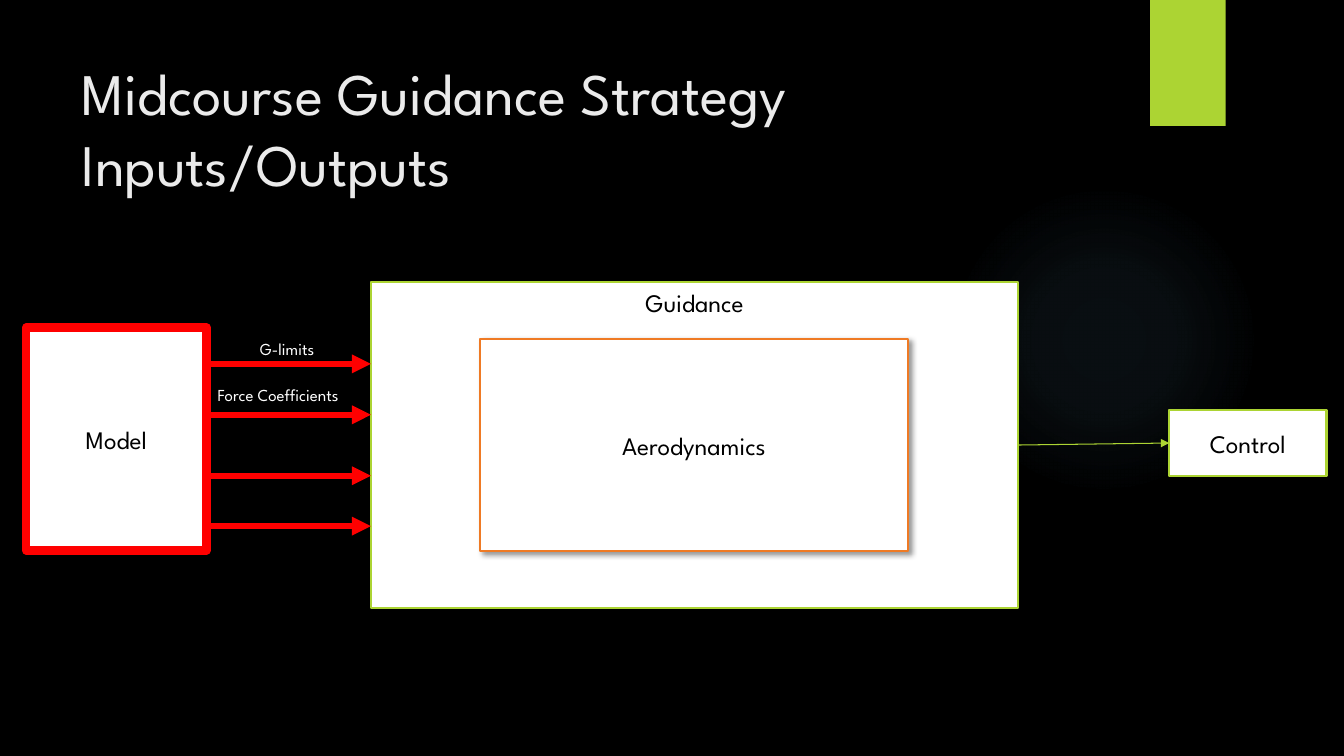
from collections import namedtuple

from lxml.etree import SubElement
from pptx import Presentation
from pptx.dml.color import RGBColor
from pptx.enum.shapes import MSO_CONNECTOR, MSO_SHAPE
from pptx.enum.text import MSO_ANCHOR, PP_ALIGN
from pptx.oxml import parse_xml
from pptx.oxml.ns import nsdecls, qn
from pptx.util import Inches, Pt

SLIDE_W, SLIDE_H = Inches(13.33), Inches(7.5)
COLUMN, ROW = SLIDE_W / 160, SLIDE_H / 90
FONT = "League Spartan"
BLACK = RGBColor(0x00, 0x00, 0x00)
WHITE = RGBColor(0xFF, 0xFF, 0xFF)
TITLE_GREY = RGBColor(0xEB, 0xEB, 0xEB)
LIME = RGBColor(0xAC, 0xD4, 0x33)
ORANGE = RGBColor(0xEF, 0x7A, 0x24)
RED = RGBColor(0xFF, 0x00, 0x00)
GLOW_BLUE = RGBColor(0x7A, 0xC4, 0xF0)

Box = namedtuple("Box", "left top width height")


def emu(box):
    return (round(box.left * COLUMN), round(box.top * ROW),
            round(box.width * COLUMN), round(box.height * ROW))


def write(frame, text, size=18, color=BLACK, align=PP_ALIGN.CENTER,
          anchor=MSO_ANCHOR.MIDDLE):
    frame.word_wrap = True
    frame.vertical_anchor = anchor
    paragraph = frame.paragraphs[0]
    paragraph.alignment = align
    run = paragraph.add_run()
    run.text = text
    run.font.size = Pt(size)
    run.font.name = FONT
    run.font.color.rgb = color


def cast_shadow(shape, alpha, blur, distance, angle):
    effects = shape._element.spPr.find(qn("a:effectLst"))
    shadow = SubElement(effects, qn("a:outerShdw"), blurRad=str(Pt(blur)),
                        dist=str(Pt(distance)), dir=str(angle * 60000),
                        algn="tl", rotWithShape="0")
    tint = SubElement(shadow, qn("a:srgbClr"), val=str(BLACK))
    SubElement(tint, qn("a:alpha"), val=str(alpha * 1000))


def add_block(slide, box, fill=WHITE, line=None, weight=1.5,
              kind=MSO_SHAPE.RECTANGLE):
    block = slide.shapes.add_shape(kind, *emu(box))
    block.shadow.inherit = False
    block.fill.solid()
    block.fill.fore_color.rgb = fill
    if line is None:
        block.line.fill.background()
    else:
        block.line.color.rgb = line
        block.line.width = Pt(weight)
    return block


def add_arrow(slide, left, right, row, color, weight):
    arrow = slide.shapes.add_connector(
        MSO_CONNECTOR.STRAIGHT, round(left * COLUMN), round(row * ROW),
        round(right * COLUMN), round(row * ROW))
    arrow.line.color.rgb = color
    arrow.line.width = Pt(weight)
    SubElement(arrow.line._get_or_add_ln(), qn("a:tailEnd"), type="triangle")
    SubElement(arrow._element.spPr, qn("a:effectLst"))
    return arrow


def draw_backdrop(slide, glow_box, tab_box):
    slide.background.fill.solid()
    slide.background.fill.fore_color.rgb = BLACK
    glow = add_block(slide, glow_box, kind=MSO_SHAPE.OVAL)
    stops = "".join(
        f'<a:gs pos="{position * 1000}"><a:srgbClr val="{GLOW_BLUE}">'
        f'<a:alpha val="{alpha * 1000}"/></a:srgbClr></a:gs>'
        for position, alpha in ((0, 7), (36, 6), (69, 0), (100, 0)))
    gradient = parse_xml(
        f'<a:gradFill {nsdecls("a")}><a:gsLst>{stops}</a:gsLst>'
        '<a:path path="circle"><a:fillToRect l="50000" t="50000" '
        'r="50000" b="50000"/></a:path></a:gradFill>')
    properties = glow._element.spPr
    properties.replace(properties.find(qn("a:solidFill")), gradient)
    tab = add_block(slide, tab_box, LIME)
    cast_shadow(tab, 45, 3, 2, 90)


def draw_title(slide, box, text):
    title = slide.shapes.title
    title.left, title.top, title.width, title.height = emu(box)
    write(title.text_frame, text, size=42, color=TITLE_GREY,
          align=PP_ALIGN.LEFT)


def draw_guidance(slide, box):
    guidance = add_block(slide, box, line=LIME)
    write(guidance.text_frame, "Guidance", anchor=MSO_ANCHOR.TOP)
    aerodynamics = add_block(
        slide, Box(box.left + 12.96, box.top + 6.72, 51, 25.32), line=ORANGE)
    cast_shadow(aerodynamics, 40, 4, 3, 45)
    write(aerodynamics.text_frame, "Aerodynamics")
    return guidance


def draw_control(slide, box, guidance, guidance_right):
    control = add_block(slide, box, line=LIME)
    write(control.text_frame, "Control")
    command = add_arrow(slide, guidance_right, box.left,
                        box.top + box.height / 2, LIME, 0.75)
    command.begin_connect(guidance, 3)
    command.end_connect(control, 1)


def draw_model(slide, box, guidance_left):
    model = add_block(slide, box, line=RED, weight=6)
    write(model.text_frame, "Model")
    right = box.left + box.width
    for drop in (4.32, 10.38, 17.64, 23.64):
        add_arrow(slide, right + 0.12, guidance_left, box.top + drop, RED, 4.5)
    for text, shift, drop, width in (("G-limits", 5.16, 0.72, 10.56),
                                     ("Force Coefficients", 0.12, 6.24, 21)):
        label = slide.shapes.add_textbox(
            *emu(Box(right + shift, box.top + drop, width, 3.6)))
        write(label.text_frame, text, size=12, color=WHITE,
              align=PP_ALIGN.LEFT, anchor=MSO_ANCHOR.TOP)


def main():
    deck = Presentation()
    deck.slide_width, deck.slide_height = SLIDE_W, SLIDE_H
    slide = deck.slides.add_slide(deck.slide_layouts[5])
    guidance_box = Box(44.16, 33.6, 77.04, 38.76)
    draw_backdrop(slide, Box(112.92, 21.96, 36.96, 36.96),
                  Box(136.92, 0, 9, 15))
    draw_title(slide, Box(8.52, 6, 123.48, 18.36),
               "Midcourse Guidance Strategy Inputs/Outputs")
    guidance = draw_guidance(slide, guidance_box)
    draw_control(slide, Box(139.2, 48.84, 18.72, 7.8), guidance,
                 guidance_box.left + guidance_box.width)
    draw_model(slide, Box(3.12, 39, 21.48, 26.52), guidance_box.left)
    deck.save("out.pptx")


if __name__ == "__main__":
    main()
